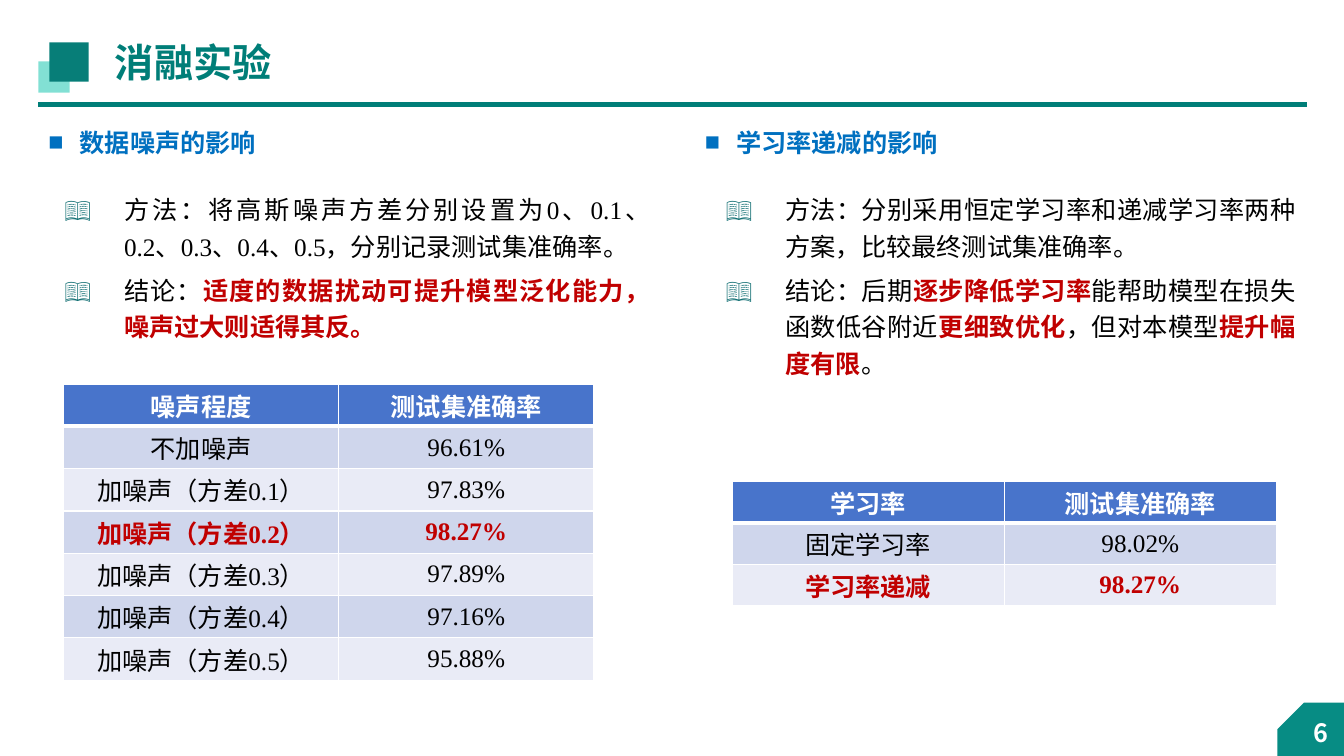
from dataclasses import dataclass

from lxml.etree import SubElement as Sub
from pptx import Presentation
from pptx.dml.color import RGBColor as Rgb
from pptx.enum.shapes import MSO_CONNECTOR as Wire, MSO_SHAPE as Kind
from pptx.enum.text import MSO_ANCHOR as Anchor, MSO_AUTO_SIZE as Fit, PP_ALIGN as Align
from pptx.oxml.ns import qn
from pptx.util import Inches, Pt

HUE = {
    "teal": "007E78", "block": "077E78", "mint": "07C3AA", "tab": "078C84",
    "book": "0E6D71", "blue": "0070C0", "red": "C00000", "black": "000000",
    "white": "FFFFFF", "head": "4874CB", "dark": "CFD6EC", "light": "E9EBF6",
}
SANS = "Noto Sans CJK SC"
SERIF = "Times New Roman"
Box = tuple[float, float, float, float]


@dataclass
class Topic:
    """A heading with its list; asterisks enclose stressed words."""
    slots: tuple[int, int]
    title: str
    title_box: Box
    items: list[str]
    list_box: Box
    face: str


@dataclass
class Grid:
    """A table of results with one stressed row."""
    left: float
    top: float
    cols: tuple[float, float]
    step: float
    rows: list[tuple[str, str]]
    best: int


TOPICS = [
    Topic((1, 2), "数据噪声的影响", (0.38, 1.21, 5.76, 0.4), [
        "方法：将高斯噪声方差分别设置为0、0.1、0.2、0.3、0.4、0.5，分别记录测试集准确率。",
        "结论：*适度的数据扰动可提升模型泛化能力，噪声过大则适得其反。*",
    ], (0.64, 1.87, 5.81, 1.61), SERIF),
    Topic((3, 4), "学习率递减的影响", (6.89, 1.21, 5.16, 0.4), [
        "方法：分别采用恒定学习率和递减学习率两种方案，比较最终测试集准确率。",
        "结论：后期*逐步降低学习率*能帮助模型在损失函数低谷附近*更细致优化*，但对本模型*提升幅度有限*。",
    ], (7.2, 1.87, 5.65, 2.12), SANS),
]
GRIDS = [
    Grid(0.63, 3.81, (2.73, 2.53), 0.42, [
        ("噪声程度", "测试集准确率"),
        ("不加噪声", "96.61%"),
        ("加噪声（方差0.1）", "97.83%"),
        ("加噪声（方差0.2）", "98.27%"),
        ("加噪声（方差0.3）", "97.89%"),
        ("加噪声（方差0.4）", "97.16%"),
        ("加噪声（方差0.5）", "95.88%"),
    ], 3),
    Grid(7.26, 4.78, (2.7, 2.7), 0.41, [
        ("学习率", "测试集准确率"),
        ("固定学习率", "98.02%"),
        ("学习率递减", "98.27%"),
    ], 2),
]


def tint(name: str) -> Rgb:
    """Look up a colour by name."""
    return Rgb.from_string(HUE[name])


def style(para, face: str, hue: str, bold: bool, align, size: int = 18) -> None:
    """Set the font and alignment of a paragraph."""
    para.alignment = align
    font = para.font
    font.size, font.bold, font.name = Pt(size), bold, face
    font.color.rgb = tint(hue)
    base = para._p.pPr.find(qn("a:defRPr"))
    Sub(base, qn("a:ea")).set("typeface", SANS)


def bullet(para, mark: str, hue: str, indent: float) -> None:
    """Give a fresh paragraph a symbol bullet and a hanging indent."""
    props = para._p.get_or_add_pPr()
    props.set("marL", str(Inches(indent)))
    props.set("indent", str(-Inches(indent)))
    Sub(Sub(props, qn("a:buClr")), qn("a:srgbClr")).set("val", HUE[hue])
    Sub(props, qn("a:buFont")).set("typeface", SERIF)
    Sub(props, qn("a:buChar")).set("char", mark)


def place(shape, box: Box, anchor, inset: bool = True):
    """Move a text shape and return its prepared frame."""
    shape.left, shape.top, shape.width, shape.height = map(Inches, box)
    frame = shape.text_frame
    frame.word_wrap, frame.auto_size = True, Fit.NONE
    frame.vertical_anchor = anchor
    if not inset:
        frame.margin_left = frame.margin_right = 0
        frame.margin_top = frame.margin_bottom = 0
    return frame


def block(slide, kind, box: Box, hue: str):
    """Draw a plain filled shape."""
    shape = slide.shapes.add_shape(kind, *map(Inches, box))
    shape.shadow.inherit = False
    shape.fill.solid()
    shape.fill.fore_color.rgb = tint(hue)
    shape.line.fill.background()
    return shape


def frame_page(slide) -> None:
    """Draw the rule, the title with its blocks and the page number."""
    rule = slide.shapes.add_connector(Wire.STRAIGHT, *map(Inches, (0.38, 1.04, 12.96, 1.04)))
    rule.line.color.rgb = tint("teal")
    rule.line.width = Pt(3.5)
    Sub(rule._element.spPr, qn("a:effectLst"))

    pale = block(slide, Kind.RECTANGLE, (0.38, 0.61, 0.31, 0.31), "mint")
    fill = pale._element.spPr.find(qn("a:solidFill"))
    Sub(fill[0], qn("a:alpha")).set("val", "50000")
    block(slide, Kind.RECTANGLE, (0.49, 0.42, 0.39, 0.39), "block")

    tab = block(slide, Kind.SNIP_1_RECTANGLE, (12.67, 6.97, 0.67, 0.53), "tab")
    tab.adjustments[0] = 0.5
    tab._element.spPr.find(qn("a:xfrm")).set("flipH", "1")

    title = place(slide.shapes.title, (1.04, 0.21, 9.75, 0.86), Anchor.MIDDLE)
    title.text = "消融实验"
    title.paragraphs[0].line_spacing = 0.9
    style(title.paragraphs[0], SANS, "teal", True, Align.LEFT, 28)

    page = place(slide.shapes.add_textbox(0, 0, 0, 0), (12.67, 7.07, 0.6, 0.4), Anchor.MIDDLE)
    page.text = "6"
    style(page.paragraphs[0], SANS, "white", True, Align.RIGHT)


def add_topic(slide, topic: Topic) -> None:
    """Fill one heading and its list."""
    head, body = (slide.placeholders[slot] for slot in topic.slots)
    frame = place(head, topic.title_box, Anchor.TOP)
    frame.text = topic.title
    para = frame.paragraphs[0]
    bullet(para, "■", "blue", 0.31)
    para.space_before = Pt(0)
    style(para, SANS, "blue", True, Align.JUSTIFY)

    frame = place(body, topic.list_box, Anchor.TOP, False)
    for row, item in enumerate(topic.items):
        para = frame.add_paragraph() if row else frame.paragraphs[0]
        bullet(para, "📖", "book", 0.59)
        para.line_spacing = 1.2
        para.space_before = para.space_after = Pt(3)
        style(para, topic.face, "black", False, Align.JUSTIFY)
        for turn, text in enumerate(item.split("*")):
            if text:
                run = para.add_run()
                run.text = text
                if turn % 2:
                    run.font.bold = True
                    run.font.color.rgb = tint("red")


def underline(cell) -> None:
    """Put a thick white border below a cell."""
    props = cell._tc.get_or_add_tcPr()
    edge = Sub(props, qn("a:lnB"))
    edge.set("w", str(Pt(3)))
    Sub(Sub(edge, qn("a:solidFill")), qn("a:srgbClr")).set("val", HUE["white"])
    props.insert(0, edge)


def add_grid(slide, grid: Grid) -> None:
    """Draw one table of results."""
    count = len(grid.rows)
    size = (grid.left, grid.top, sum(grid.cols), grid.step * count)
    table = slide.shapes.add_table(count, len(grid.cols), *map(Inches, size)).table
    for col, width in zip(table.columns, grid.cols):
        col.width = Inches(width)
    for row, texts in enumerate(grid.rows):
        table.rows[row].height = Inches(grid.step)
        back = ("light", "dark")[row % 2] if row else "head"
        ink = "white" if row == 0 else "red" if row == grid.best else "black"
        for cell, text in zip(table.rows[row].cells, texts):
            cell.fill.solid()
            cell.fill.fore_color.rgb = tint(back)
            cell.vertical_anchor = Anchor.MIDDLE
            cell.margin_left = cell.margin_right = Inches(0.07)
            cell.margin_top = cell.margin_bottom = 0
            cell.text = text
            style(cell.text_frame.paragraphs[0], SERIF, ink, ink != "black", Align.CENTER)
            if row == 0:
                underline(cell)


def main() -> None:
    """Build and save the slide."""
    deck = Presentation()
    deck.slide_width, deck.slide_height = Inches(13.33), Inches(7.5)
    slide = deck.slides.add_slide(deck.slide_layouts[4])
    frame_page(slide)
    for topic in TOPICS:
        add_topic(slide, topic)
    for grid in GRIDS:
        add_grid(slide, grid)
    deck.save("out.pptx")


if __name__ == "__main__":
    main()
